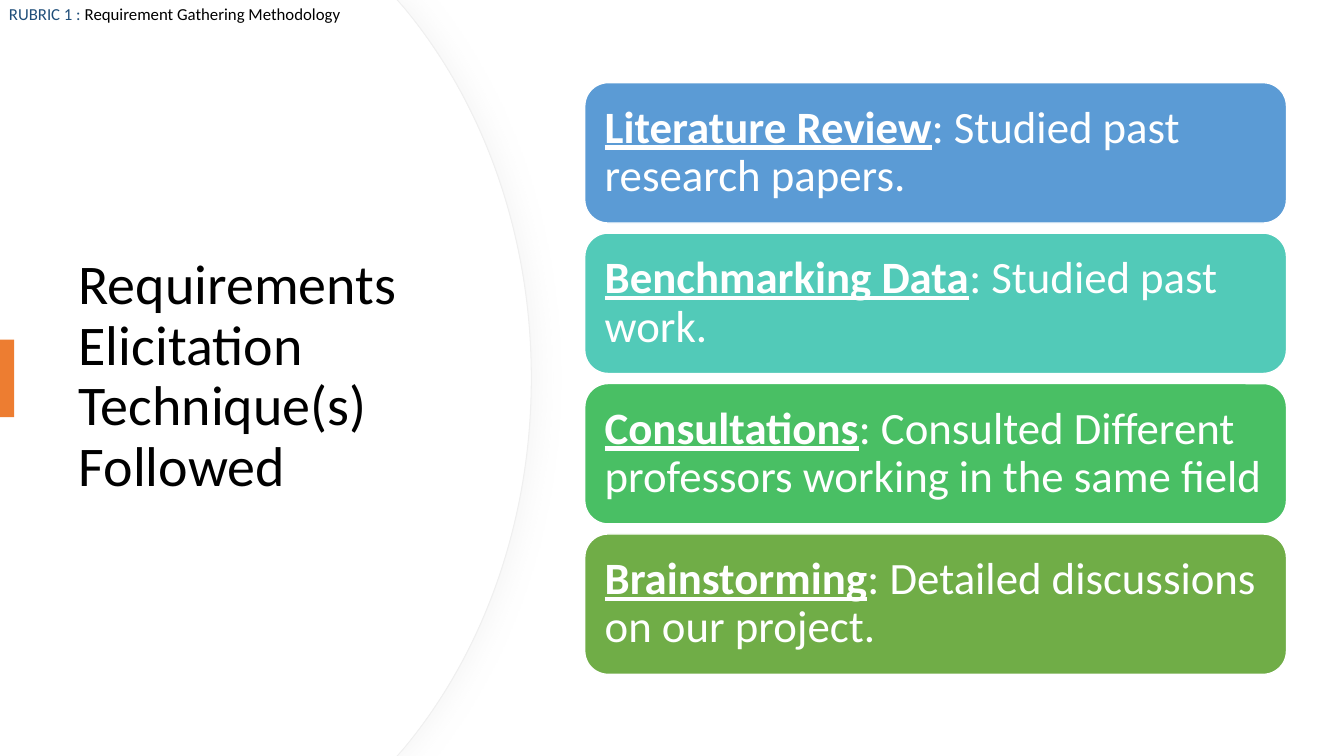
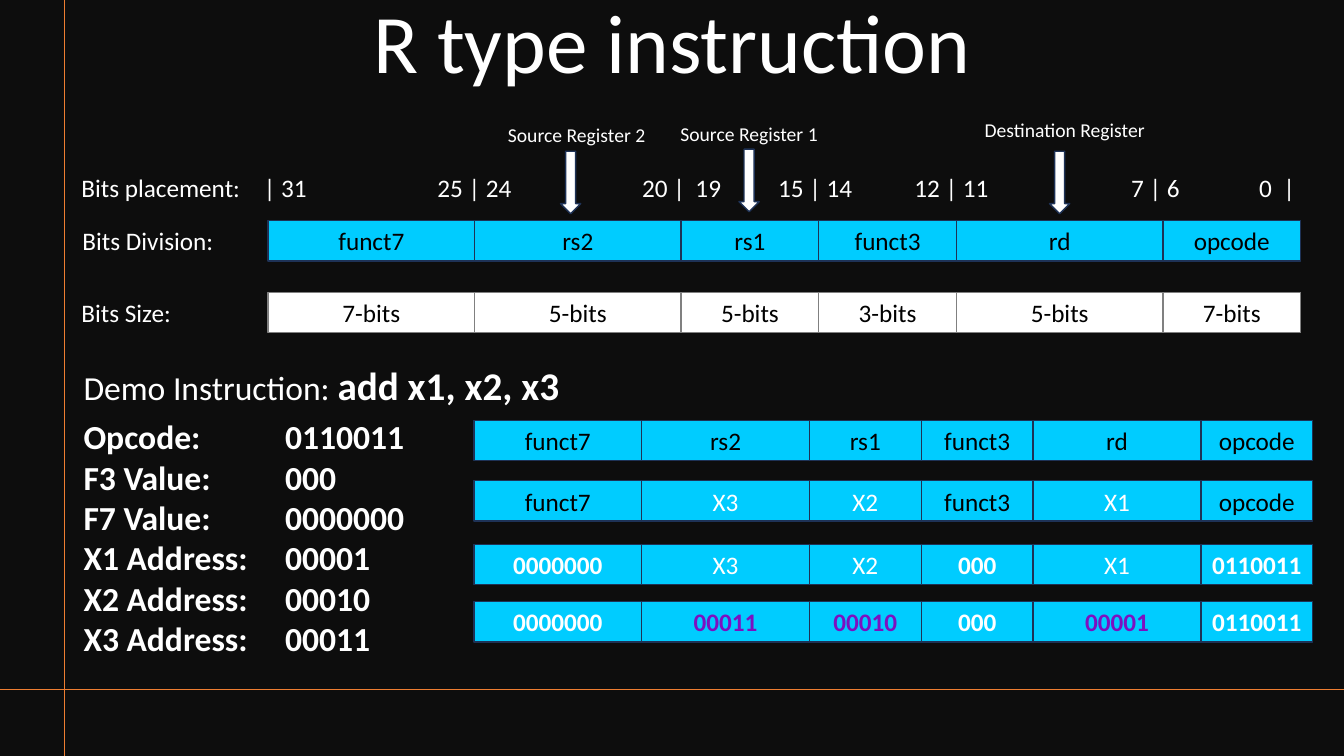
from dataclasses import dataclass
from typing import NamedTuple

from lxml.etree import SubElement
from pptx import Presentation
from pptx.dml.color import RGBColor
from pptx.enum.shapes import MSO_CONNECTOR as Link, MSO_SHAPE as Kind
from pptx.enum.text import MSO_ANCHOR as Anchor, MSO_AUTO_SIZE as Fit, PP_ALIGN as Align
from pptx.oxml.ns import qn
from pptx.util import Pt

PX = 9144


class Box(NamedTuple):
    """A rectangle in px."""
    x: float
    y: float
    w: float
    h: float


@dataclass(frozen=True)
class Theme:
    """Colours, type sizes and font of the deck."""
    font: str = "Calibri"
    white: str = "FFFFFF"
    black: str = "000000"
    night: str = "0D0D0D"
    accent: str = "ED7D31"
    navy: str = "1F4E79"
    rim: str = "EFEFEF"
    shade: str = "D9D9D9"
    cyan: str = "00CCFF"
    cyan_edge: str = "1E3256"
    grey: str = "808080"
    purple: str = "7D10C0"
    cards: tuple = ("5B9BD5", "52CAB8", "49BF64", "70AD47")
    hero: float = 59.4
    title: float = 40
    card: float = 32
    demo: float = 28
    large: float = 24
    body: float = 18
    label: float = 14
    small: float = 12


T = Theme()
PLAIN = {}
VARIABLE = {"color": T.white}
VALUE = {"color": T.white, "bold": True}
ADDRESS = {"color": T.purple, "bold": True}

SLIDE = Box(0, 0, 1333, 750)
TECHNIQUES = [
    ("Literature Review", ": Studied past research papers."),
    ("Benchmarking Data", ": Studied past work."),
    ("Consultations", ": Consulted Different professors working in the same field"),
    ("Brainstorming", ": Detailed discussions on our project."),
]
FIELDS = ["funct7", "rs2", "rs1", "funct3", "rd", "opcode"]
FIELD_UNITS = [3, 3, 2, 2, 3, 2]
SIZES = ["7-bits", "5-bits", "5-bits", "3-bits", "5-bits", "7-bits"]
BIT_MARKS = "| 31\t25 | 24\t20 |\t19\t15 | 14\t12 | 11\t7 | 6\t0\t|"
BIT_TABS = [172, 375, 428, 510, 645, 860, 987, 1011]
CAPTIONS = [("Bits placement:", 71, 166), ("Bits Division:", 72, 219), ("Bits Size:", 71, 290)]
REGISTERS = [
    ("Source Register 2", Box(483, 117, 178, 34), 556, 150),
    ("Source Register 1", Box(654, 116, 178, 34), 733, 148),
    ("Destination Register", Box(964, 112, 184, 34), 1041, 150),
]
DECODED = ["Opcode:\t0110011", "F3 Value:\t000", "F7 Value:\t0000000",
           "X1 Address:\t00001", "X2 Address:\t00010", "X3 Address:\t00011"]
STEPS = [
    (417, FIELDS, [PLAIN] * 6),
    (477, ["funct7", "X3", "X2", "funct3", "X1", "opcode"],
     [PLAIN, VARIABLE, VARIABLE, PLAIN, VARIABLE, PLAIN]),
    (540, ["0000000", "X3", "X2", "000", "X1", "0110011"],
     [VALUE, VARIABLE, VARIABLE, VALUE, VARIABLE, VALUE]),
    (597, ["0000000", "00011", "00010", "000", "00001", "0110011"],
     [VALUE, ADDRESS, ADDRESS, VALUE, ADDRESS, VALUE]),
]


def emu(*lengths):
    """Turn px lengths into EMU."""
    return [round(v * PX) for v in lengths]


def rgb(color):
    """Return a colour object for a hex string."""
    return RGBColor.from_string(color)


def write(sp, *paras, size=T.body, color=T.white, bold=False, align=Align.LEFT,
          anchor=Anchor.TOP, spacing=None, inset=(10, 5), tabs=()):
    """Write paragraphs, each a string or a list of (text, format) runs."""
    tf = sp.text_frame
    tf.word_wrap, tf.auto_size, tf.vertical_anchor = True, Fit.NONE, anchor
    tf.margin_left = tf.margin_right = emu(inset[0])[0]
    tf.margin_top = tf.margin_bottom = emu(inset[1])[0]
    for i, para in enumerate(paras):
        p = tf.add_paragraph() if i else tf.paragraphs[0]
        p.alignment = align
        if spacing:
            p.line_spacing = spacing
        if tabs:
            stops = SubElement(p._p.get_or_add_pPr(), qn("a:tabLst"))
            for pos in emu(*tabs):
                SubElement(stops, qn("a:tab"), pos=str(pos), algn="l")
        for text, own in [(para, {})] if isinstance(para, str) else para:
            fmt = {"size": size, "color": color, "bold": bold, "underline": False, **own}
            r = p.add_run()
            r.text = text
            r.font.name, r.font.size = T.font, Pt(fmt["size"])
            r.font.bold, r.font.underline = fmt["bold"], fmt["underline"]
            r.font.color.rgb = rgb(fmt["color"])


def paint(sp, fill, line=None, width=1):
    """Give a shape a flat fill and an optional outline."""
    sp.shadow.inherit = False
    sp.fill.solid()
    sp.fill.fore_color.rgb = rgb(fill)
    if line:
        sp.line.color.rgb = rgb(line)
        sp.line.width = Pt(width)
    else:
        sp.line.fill.background()
    return sp


def add_shape(shapes, kind, box, fill, line=None):
    """Add a painted preset shape."""
    return paint(shapes.add_shape(kind, *emu(*box)), fill, line)


def add_text(slide, box, *paras, **fmt):
    """Add a text box."""
    write(slide.shapes.add_textbox(*emu(*box)), *paras, **fmt)


def add_line(slide, x1, y1, x2, y2):
    """Add a thin accent line without a shadow."""
    ln = slide.shapes.add_connector(Link.STRAIGHT, *emu(x1, y1, x2, y2))
    ln.line.color.rgb, ln.line.width = rgb(T.accent), Pt(1)
    SubElement(ln._element.spPr, qn("a:effectLst"))


def add_title(slide, box, text, **fmt):
    """Place the title placeholder in front of what is drawn so far."""
    sp = slide.shapes.title
    sp.left, sp.top, sp.width, sp.height = emu(*box)
    write(sp, text, spacing=0.9, **fmt)
    slide.shapes._spTree.append(sp._element)


def bend(segment, *controls):
    """Turn a straight freeform segment into a cubic curve."""
    segment.tag = qn("a:cubicBezTo")
    for i, (x, y) in enumerate(controls):
        point = SubElement(segment, qn("a:pt"), x=str(x), y=str(y))
        segment.insert(i, point)


def add_arc_panel(slide, box, line=None):
    """Add a white panel whose right edge bulges to the box's right side."""
    x, y, w, h = box
    outline = [(w - 133, 0), (w - 126, 8), (w, h / 2), (w - 126, h - 8), (w - 133, h), (0, h)]
    fb = slide.shapes.build_freeform(*emu(x, y))
    fb.add_line_segments([emu(x + dx, y + dy) for dx, dy in outline])
    sp = fb.convert_to_shape()
    segments = list(sp._element.spPr.iter(qn("a:lnTo")))
    bend(segments[2], emu(w - 48, 102), emu(w, 232))
    bend(segments[3], emu(w, h - 232), emu(w - 48, h - 102))
    return paint(sp, T.white, line, 0.75)


def add_soft_shadow(sp):
    """Add a faint shadow to the right of a shape."""
    effects = sp._element.spPr.find(qn("a:effectLst"))
    shadow = SubElement(effects, qn("a:outerShdw"), blurRad=str(Pt(20)), dist=str(Pt(3)),
                        dir="0", algn="l", rotWithShape="0")
    color = SubElement(shadow, qn("a:srgbClr"), val=T.shade)
    SubElement(color, qn("a:alpha"), val="25000")


def add_cards(slide, box, items, gap=10):
    """Stack one rounded card per technique in the box."""
    h = (box.h - gap * (len(items) - 1)) / len(items)
    for i, ((name, detail), fill) in enumerate(zip(items, T.cards)):
        card = Box(box.x, box.y + i * (h + gap), box.w, h)
        sp = add_shape(slide.shapes, Kind.ROUNDED_RECTANGLE, card, fill, T.white)
        write(sp, [(name, {"bold": True, "underline": True}), (detail, {})],
              size=T.card, anchor=Anchor.MIDDLE, spacing=0.9, inset=(13, 13))


def add_fields(slide, box, texts, styles, fill=T.cyan, line=T.cyan_edge):
    """Split the box into grouped instruction fields by their units."""
    group = slide.shapes.add_group_shape()
    unit, x = box.w / sum(FIELD_UNITS), box.x
    for text, style, units in zip(texts, styles, FIELD_UNITS):
        cell = Box(x, box.y, units * unit, box.h)
        sp = add_shape(group.shapes, Kind.RECTANGLE, cell, fill, line)
        write(sp, text, **{"color": T.black, **style}, align=Align.CENTER,
              anchor=Anchor.MIDDLE, inset=(5, 5))
        x += cell.w


def add_register(slide, label, box, arrow_x, arrow_y):
    """Add a register label and the arrow below it."""
    add_text(slide, box, label, size=T.label, align=Align.CENTER)
    add_shape(slide.shapes, Kind.DOWN_ARROW, Box(arrow_x, arrow_y, 20, 62),
              T.white, T.cyan_edge)


def add_layout_diagram(slide, box):
    """Show bit placement, division and size, one row each."""
    for text, x, y in CAPTIONS:
        add_text(slide, Box(x, y, 186, 40), text)
    add_text(slide, Box(box.x - 14, box.y - 53, 1060, 40), BIT_MARKS, tabs=BIT_TABS)
    row = box._replace(h=40)
    add_fields(slide, row, FIELDS, [PLAIN] * 6)
    add_fields(slide, row._replace(y=box.y + 71), SIZES, [PLAIN] * 6, T.white, T.grey)
    for register in REGISTERS:
        add_register(slide, *register)


def add_demo(slide, box):
    """Show how the sample instruction is decoded step by step."""
    add_text(slide, Box(box.x, box.y, 515, 57),
             [("Demo Instruction: ", {}), ("add x1, x2, x3", {"size": T.demo, "bold": True})],
             size=T.large)
    add_text(slide, Box(box.x, box.y + 54, 489, 252), *DECODED,
             size=T.large, bold=True, tabs=[200])
    for y, texts, styles in STEPS:
        add_fields(slide, Box(box.x + 397, y, box.w - 397, 40), texts, styles)


def build_techniques(slide):
    """Build the slide on elicitation techniques."""
    add_soft_shadow(add_arc_panel(slide, Box(0, 0, 527, 750), T.rim))
    add_arc_panel(slide, Box(0, 0, 526, 750))
    add_title(slide, Box(68, 127, 394, 495), "Requirements Elicitation Technique(s) Followed",
              size=T.title, color=T.black, anchor=Anchor.MIDDLE)
    add_shape(slide.shapes, Kind.RECTANGLE, Box(0, 337, 14, 77), T.accent)
    add_cards(slide, Box(580, 82, 696, 587), TECHNIQUES)
    add_text(slide, Box(-1, 1, 485, 38),
             [("RUBRIC 1 : ", {"color": T.navy}), ("Requirement Gathering Methodology", {})],
             size=T.small, color=T.black, spacing=0.9)


def build_instruction(slide):
    """Build the slide on the R type instruction."""
    add_shape(slide.shapes, Kind.RECTANGLE, SLIDE, T.night)
    add_title(slide, Box(225, 17, 883, 79), "R type instruction",
              size=T.hero, align=Align.CENTER, anchor=Anchor.BOTTOM)
    add_line(slide, 64, 0, 64, SLIDE.h)
    add_line(slide, SLIDE.w, 684, 0, 684)
    add_layout_diagram(slide, Box(266, 219, 1024, 111))
    add_demo(slide, Box(73, 354, 1229, 306))


def main():
    """Build and save the deck."""
    prs = Presentation()
    prs.slide_width, prs.slide_height = emu(SLIDE.w, SLIDE.h)
    for build in (build_techniques, build_instruction):
        build(prs.slides.add_slide(prs.slide_layouts[5]))
    prs.save("out.pptx")


if __name__ == "__main__":
    main()
